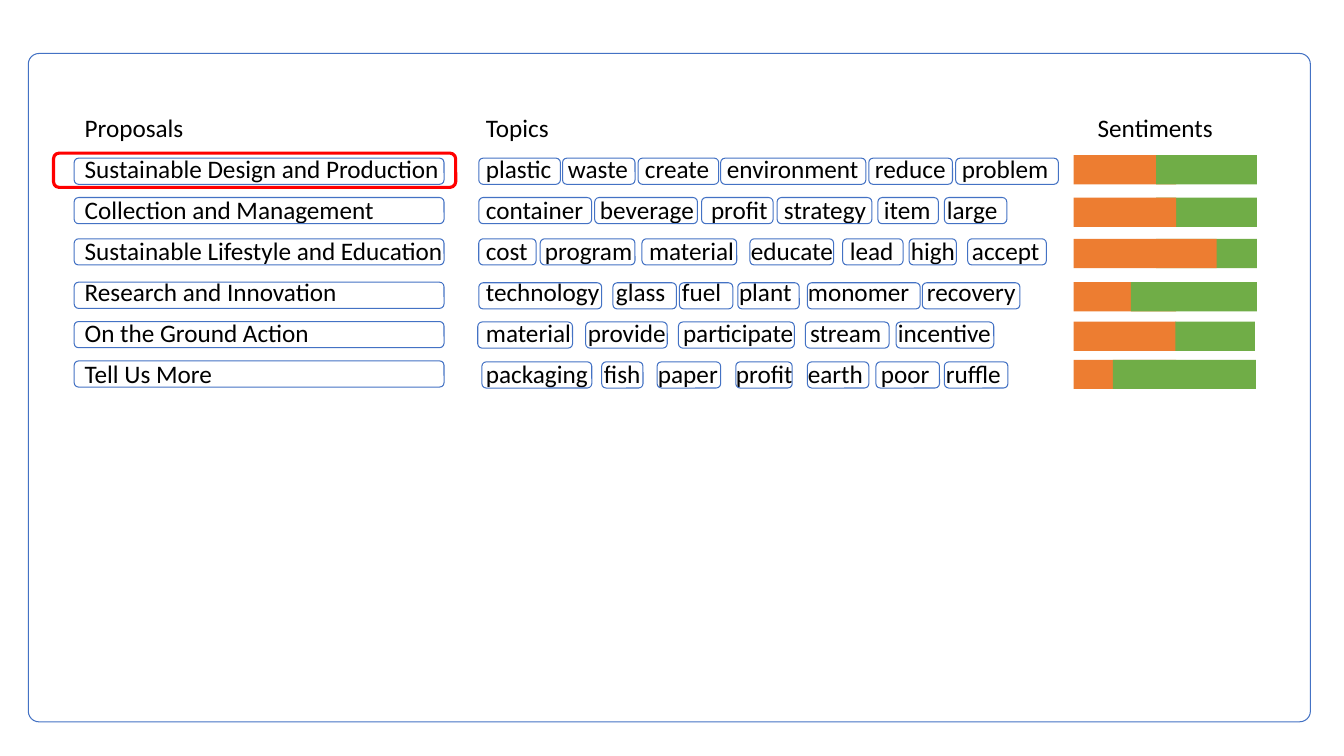
from dataclasses import dataclass

from lxml.etree import SubElement
from pptx import Presentation
from pptx.dml.color import RGBColor
from pptx.enum.shapes import MSO_SHAPE
from pptx.oxml.ns import qn
from pptx.slide import Slide
from pptx.table import _Cell
from pptx.util import Pt

BLUE, RED, ORANGE, GREEN, BLACK = "4472C4", "FF0000", "ED7D31", "70AD47", "000000"
HEADERS = ("Proposals", "Topics", "Sentiments")
COLUMN_WIDTHS = (286.6, 437, 182.2)
TABLE_LEFT, TABLE_TOP, ROW_HEIGHT = 53.3, 77.8, 29.2
TOPIC_TEXT_LEFT = TABLE_LEFT + COLUMN_WIDTHS[0] + 7.2
PROPOSAL_LEFT, PROPOSAL_WIDTH, BOX_HEIGHT = 53, 264.2, 18.7
BAR_LEFT, BAR_HEIGHT = 766.8, 20.9


@dataclass(frozen=True)
class Topic:
    word: str
    text_left: float
    box_left: float
    box_width: float


@dataclass(frozen=True)
class Sentiment:
    top: float
    orange_width: float
    green_left: float
    green_width: float
    orange_in_front: bool = False


@dataclass(frozen=True)
class Proposal:
    name: str
    box_top: float
    topics_top: float
    topics: tuple[Topic, ...]
    sentiment: Sentiment


PROPOSALS = (
    Proposal("Sustainable Design and Production", 113, 113, (
        Topic("plastic", 347.1, 342, 58.3),
        Topic("waste", 405.7, 401.8, 51.8),
        Topic("create", 460.7, 455.8, 57.6),
        Topic("environment", 519.3, 514.8, 103.7),
        Topic("reduce", 625, 620.6, 59.8),
        Topic("problem", 687.1, 682.6, 73.4),
    ), Sentiment(110.9, 73.4, 825.8, 72)),
    Proposal("Collection and Management", 141.1, 141.1, (
        Topic("container", 347.1, 342, 80.6),
        Topic("beverage", 428.6, 424.8, 73.4),
        Topic("profit", 507.9, 501.1, 51.1),
        Topic("strategy", 560, 555.1, 67.7),
        Topic("item", 631.4, 627.1, 43.2),
        Topic("large", 676.4, 674.6, 44.6),
    ), Sentiment(141.1, 73.4, 825.8, 72, True)),
    Proposal("Sustainable Lifestyle and Education", 170.6, 170.6, (
        Topic("cost", 347.1, 342, 41),
        Topic("program", 389.3, 385.9, 67.7),
        Topic("material", 463.6, 458.6, 67.7),
        Topic("educate", 536.4, 535.7, 59.8),
        Topic("lead", 607.1, 601.9, 43.2),
        Topic("high", 650.7, 649.4, 33.8),
        Topic("accept", 694.3, 691.2, 56.2),
    ), Sentiment(170.6, 102.2, 825.8, 72, True)),
    Proposal("Research and Innovation", 201.6, 202, (
        Topic("technology", 347.1, 342, 87.8),
        Topic("glass", 440, 437.8, 45.4),
        Topic("fuel", 487.1, 485.3, 38.2),
        Topic("plant", 527.9, 527, 43.9),
        Topic("monomer", 577.1, 576.7, 80.6),
        Topic("recovery", 662.1, 658.8, 69.8),
    ), Sentiment(201.6, 73.4, 807.8, 90)),
    Proposal("On the Ground Action", 229.7, 230, (
        Topic("material", 347.1, 341.3, 67.7),
        Topic("provide", 420, 418.3, 58.3),
        Topic("participate", 487.9, 484.6, 82.8),
        Topic("stream", 578.6, 575.3, 59.8),
        Topic("incentive", 641.4, 640.1, 69.8),
    ), Sentiment(229.7, 73.4, 839.5, 56.9)),
    Proposal("Tell Us More", 257.8, 258.5, (
        Topic("packaging", 347.1, 344.2, 78.5),
        Topic("fish", 431.4, 429.8, 29.5),
        Topic("paper", 470, 469.4, 45.4),
        Topic("profit", 525.7, 525.6, 40.3),
        Topic("earth", 577.1, 576.7, 43.9),
        Topic("poor", 629.3, 625.7, 45.4),
        Topic("ruffle", 675.7, 674.6, 45.4),
    ), Sentiment(257, 73.4, 794.9, 102.2)),
)


def color(value: str) -> RGBColor:
    return RGBColor.from_string(value)


def add_outline(slide: Slide, left: float, top: float, width: float, height: float,
                line: str = BLUE, weight: float = 0.75, corner: float = 0.1667) -> None:
    shape = slide.shapes.add_shape(
        MSO_SHAPE.ROUNDED_RECTANGLE, Pt(left), Pt(top), Pt(width), Pt(height))
    shape.adjustments[0] = corner
    shape.shadow.inherit = False
    shape.fill.background()
    shape.line.color.rgb = color(line)
    shape.line.width = Pt(weight)


def add_bar(slide: Slide, left: float, top: float, width: float, fill: str) -> None:
    shape = slide.shapes.add_shape(
        MSO_SHAPE.RECTANGLE, Pt(left), Pt(top), Pt(width), Pt(BAR_HEIGHT))
    shape.shadow.inherit = False
    shape.fill.solid()
    shape.fill.fore_color.rgb = color(fill)
    shape.line.fill.background()


def add_sentiment(slide: Slide, sentiment: Sentiment) -> None:
    bars = [(BAR_LEFT, sentiment.orange_width, ORANGE),
            (sentiment.green_left, sentiment.green_width, GREEN)]
    if sentiment.orange_in_front:
        bars.reverse()
    for left, width, fill in bars:
        add_bar(slide, left, sentiment.top, width, fill)


def write_cell(cell: _Cell, text: str) -> None:
    run = cell.text_frame.paragraphs[0].add_run()
    run.text = text
    run.font.name = "Calibri"
    run.font.size = Pt(18)
    run.font.color.rgb = color(BLACK)


def write_topics(cell: _Cell, topics: tuple[Topic, ...]) -> None:
    """Write the words in one line, each at its own tab stop."""
    write_cell(cell, "\t".join(topic.word for topic in topics))
    properties = cell.text_frame.paragraphs[0]._p.get_or_add_pPr()
    tab_list = SubElement(properties, qn("a:tabLst"))
    for topic in topics[1:]:
        position = Pt(topic.text_left - TOPIC_TEXT_LEFT)
        SubElement(tab_list, qn("a:tab"), pos=str(int(position)), algn="l")


def add_overview_table(slide: Slide) -> None:
    row_count = len(PROPOSALS) + 1
    frame = slide.shapes.add_table(
        row_count, len(HEADERS), Pt(TABLE_LEFT), Pt(TABLE_TOP),
        Pt(sum(COLUMN_WIDTHS)), Pt(ROW_HEIGHT * row_count))
    frame.element.find(".//" + qn("a:tableStyleId")).text = (
        "{2D5ABB26-0587-4C30-8999-92F81FD0307C}")
    table = frame.table
    table.first_row = table.horz_banding = False
    for column, width in zip(table.columns, COLUMN_WIDTHS):
        column.width = Pt(width)
    for row in table.rows:
        row.height = Pt(ROW_HEIGHT)
    for cell in table.iter_cells():
        cell.fill.background()
    for index, header in enumerate(HEADERS):
        write_cell(table.cell(0, index), header)
    for index, proposal in enumerate(PROPOSALS, start=1):
        write_cell(table.cell(index, 0), proposal.name)
        write_topics(table.cell(index, 1), proposal.topics)


def main() -> None:
    presentation = Presentation()
    presentation.slide_width = Pt(960)
    presentation.slide_height = Pt(540)
    slide = presentation.slides.add_slide(presentation.slide_layouts[6])
    add_overview_table(slide)
    for proposal in PROPOSALS:
        add_outline(slide, PROPOSAL_LEFT, proposal.box_top, PROPOSAL_WIDTH, BOX_HEIGHT)
        for topic in proposal.topics:
            add_outline(slide, topic.box_left, proposal.topics_top, topic.box_width, BOX_HEIGHT)
        add_sentiment(slide, proposal.sentiment)
    add_outline(slide, 20.2, 38.2, 915.8, 477.4, corner=0.016)
    add_outline(slide, 38.2, 109.4, 287.3, 24.5, RED, 2.25)
    presentation.save("out.pptx")


if __name__ == "__main__":
    main()
